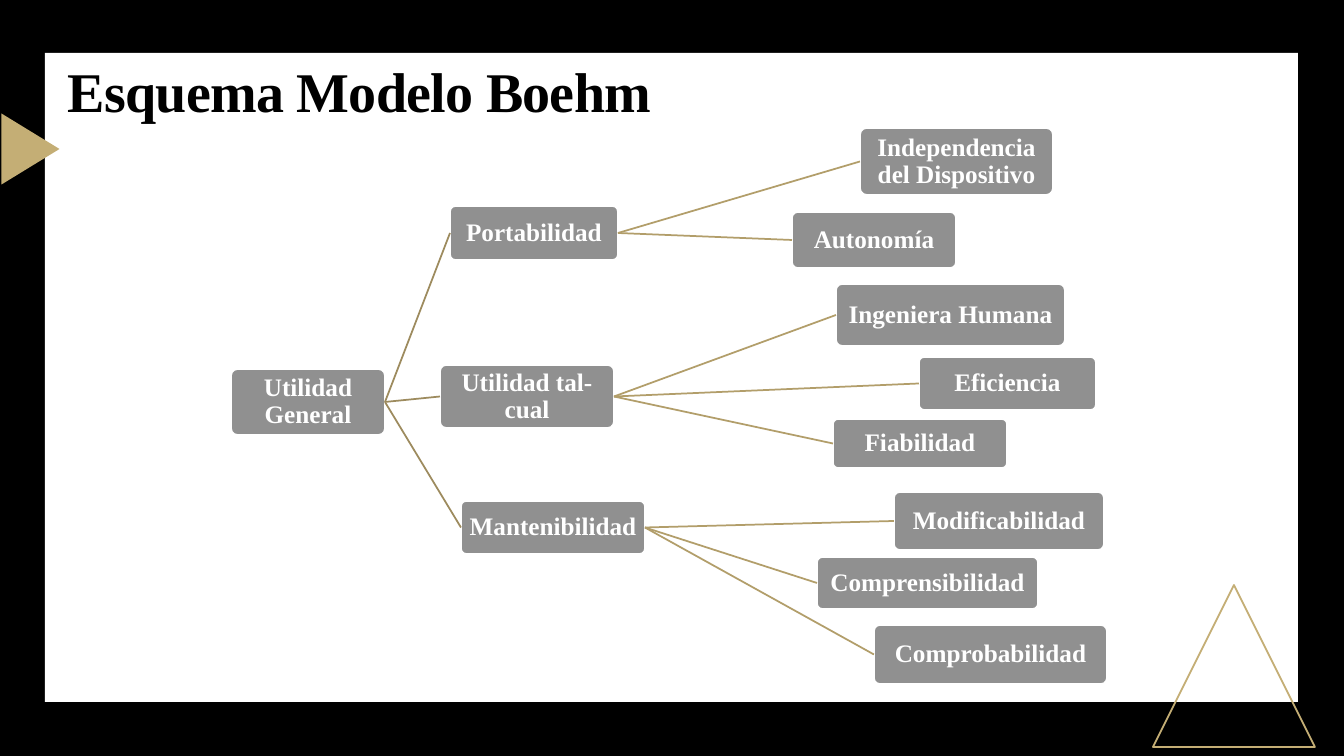
from dataclasses import dataclass

from lxml.etree import SubElement
from pptx import Presentation
from pptx.dml.color import RGBColor
from pptx.enum.shapes import MSO_CONNECTOR, MSO_SHAPE
from pptx.enum.text import MSO_ANCHOR, PP_ALIGN
from pptx.oxml.ns import qn
from pptx.util import Pt

TITLE = "Esquema Modelo Boehm"

# Each node: text, (left, top, width, height) in px, children
TREE = ("Utilidad General", (231, 369, 154, 66), [
    ("Portabilidad", (450, 206, 168, 54), [
        ("Independencia del Dispositivo", (860, 128, 193, 67), []),
        ("Autonomía", (792, 212, 164, 56), []),
    ]),
    ("Utilidad tal-cual", (440, 365, 174, 63), [
        ("Fiabilidad", (833, 419, 174, 49), []),
        ("Ingeniera Humana", (836, 284, 229, 62), []),
        ("Eficiencia", (919, 357, 177, 53), []),
    ]),
    ("Mantenibilidad", (461, 501, 184, 53), [
        ("Modificabilidad", (894, 492, 210, 58), []),
        ("Comprensibilidad", (817, 557, 221, 52), []),
        ("Comprobabilidad", (874, 625, 233, 59), []),
    ]),
])


@dataclass(frozen=True)
class Theme:
    black: RGBColor = RGBColor.from_string("000000")
    white: RGBColor = RGBColor.from_string("FFFFFF")
    node: RGBColor = RGBColor.from_string("909090")
    gold: RGBColor = RGBColor.from_string("C4AE75")
    # Connector colour by depth of the child
    branches: tuple = (None, RGBColor.from_string("9D8B5E"), RGBColor.from_string("B29E6A"))
    font: str = "Times New Roman"
    title_size: Pt = Pt(40)
    node_size: Pt = Pt(18)
    line: Pt = Pt(1.25)


THEME = Theme()
SLIDE_W, SLIDE_H = 1344, 756
EMU_PER_PX = 12192000 / SLIDE_W
RIGHT, LEFT = 3, 1


def px(*lengths):
    return [round(length * EMU_PER_PX) for length in lengths]


def add_figure(slide, kind, box, fill=None, line=None):
    figure = slide.shapes.add_shape(kind, *px(*box))
    figure.shadow.inherit = False
    if fill is None:
        figure.fill.background()
    else:
        figure.fill.solid()
        figure.fill.fore_color.rgb = fill
    if line is None:
        figure.line.fill.background()
    else:
        figure.line.color.rgb = line
        figure.line.width = THEME.line
    return figure


def write(frame, text, size, color):
    frame.word_wrap = True
    frame.vertical_anchor = MSO_ANCHOR.MIDDLE
    paragraph = frame.paragraphs[0]
    paragraph.text = text
    paragraph.line_spacing = 0.9
    font = paragraph.font
    font.name, font.size, font.bold = THEME.font, size, True
    font.color.rgb = color
    return paragraph


def add_branch(slide, parent, child, color):
    branch = slide.shapes.add_connector(MSO_CONNECTOR.STRAIGHT, 0, 0, 0, 0)
    branch.begin_connect(parent, RIGHT)
    branch.end_connect(child, LEFT)
    branch.line.color.rgb = color
    branch.line.width = THEME.line
    SubElement(branch._element.spPr, qn("a:effectLst"))


def add_tree(slide, tree, parent=None, depth=0):
    """Draw a node, the branch from its parent, and then its children."""
    text, box, children = tree
    node = add_figure(slide, MSO_SHAPE.ROUNDED_RECTANGLE, box, THEME.node, THEME.white)
    node.adjustments[0] = 0.1
    frame = node.text_frame
    frame.margin_left = frame.margin_right = frame.margin_top = frame.margin_bottom = px(1)[0]
    write(frame, text, THEME.node_size, THEME.white).alignment = PP_ALIGN.CENTER
    if parent is not None:
        add_branch(slide, parent, node, THEME.branches[depth])
    for child in children:
        add_tree(slide, child, node, depth + 1)


def add_title(slide):
    title = slide.shapes.add_textbox(*px(58, 55, 613, 78))
    paragraph = write(title.text_frame, TITLE, THEME.title_size, THEME.black)
    paragraph.alignment = PP_ALIGN.LEFT
    paragraph.runs[0].font._element.set("spc", "-50")


def main():
    deck = Presentation()
    deck.slide_width, deck.slide_height = px(SLIDE_W, SLIDE_H)
    slide = deck.slides.add_slide(deck.slide_layouts[6])
    slide.background.fill.solid()
    slide.background.fill.fore_color.rgb = THEME.black

    add_figure(slide, MSO_SHAPE.RECTANGLE, (45, 53, 1253, 649), fill=THEME.white)
    add_figure(slide, MSO_SHAPE.ISOSCELES_TRIANGLE, (1153, 585, 162, 162), line=THEME.gold)
    pointer = add_figure(slide, MSO_SHAPE.ISOSCELES_TRIANGLE, (-5, 120, 71, 58), fill=THEME.gold)
    pointer.rotation = 90

    add_title(slide)
    add_tree(slide, TREE)
    deck.save("out.pptx")


if __name__ == "__main__":
    main()
